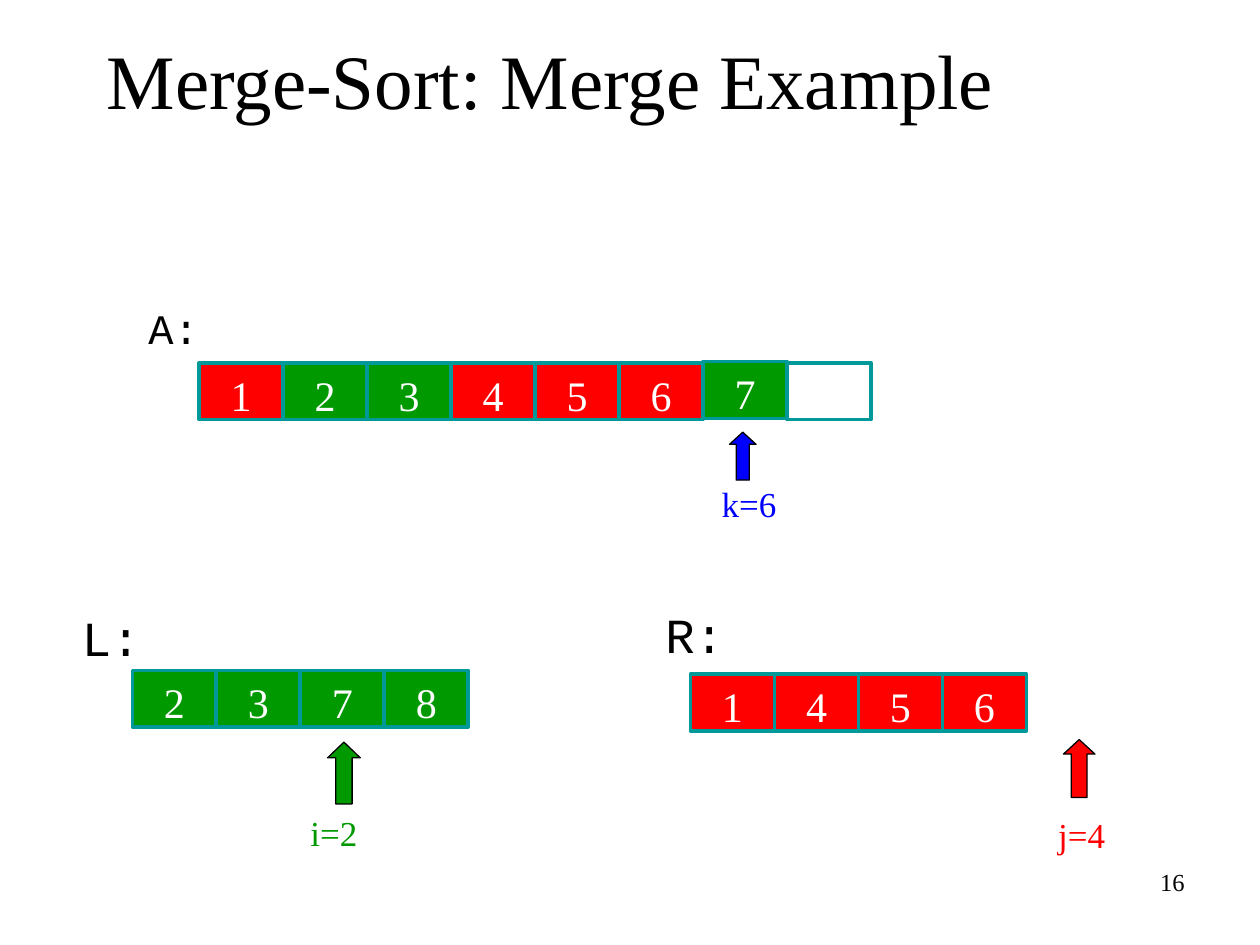
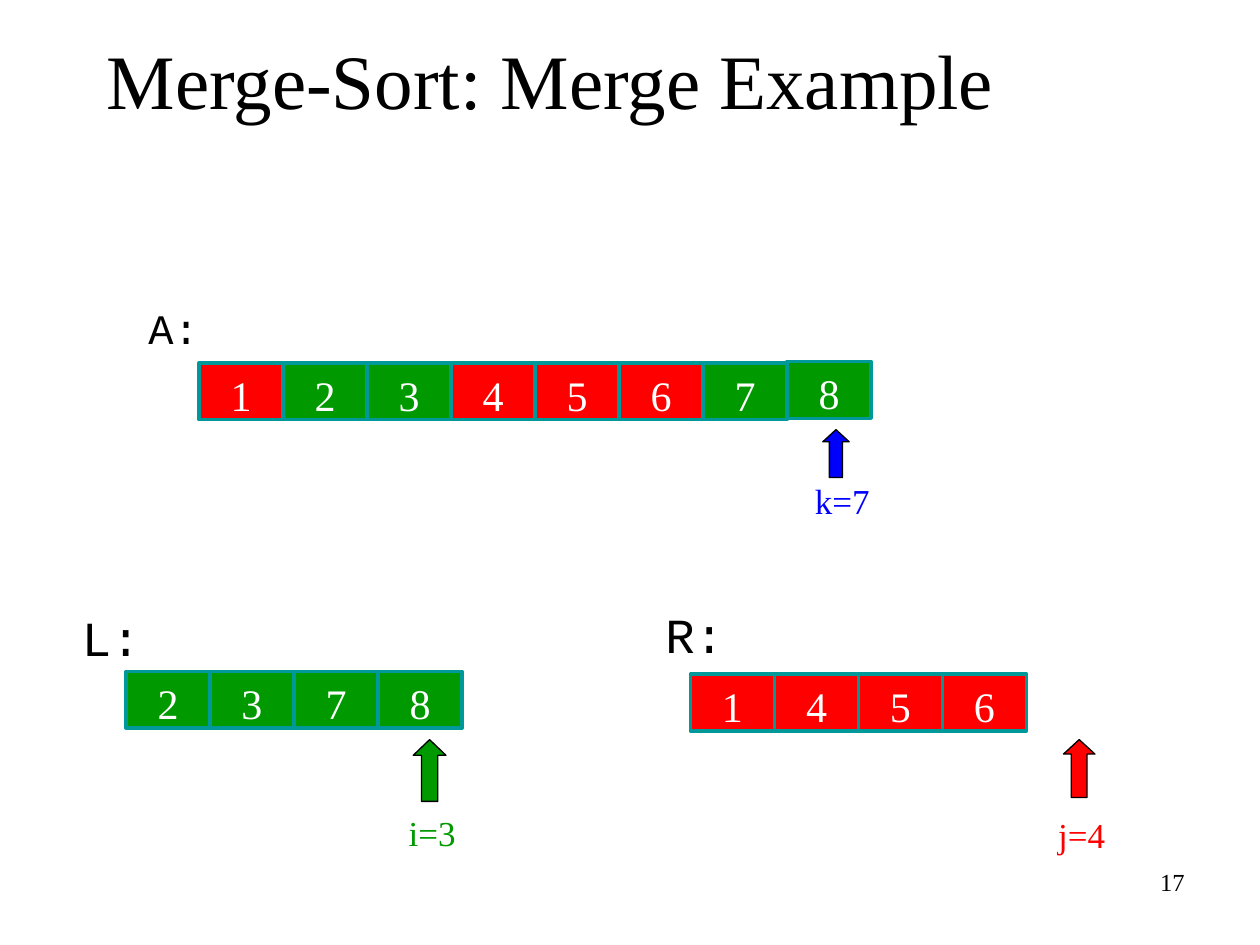
from dataclasses import dataclass

from pptx import Presentation
from pptx.dml.color import RGBColor
from pptx.enum.shapes import MSO_SHAPE
from pptx.enum.text import MSO_ANCHOR, MSO_AUTO_SIZE, PP_ALIGN
from pptx.util import Inches, Pt

RECTANGLE, UP_ARROW = MSO_SHAPE.RECTANGLE, MSO_SHAPE.UP_ARROW
TOP, MIDDLE = MSO_ANCHOR.TOP, MSO_ANCHOR.MIDDLE
LEFT, CENTER, RIGHT = PP_ALIGN.LEFT, PP_ALIGN.CENTER, PP_ALIGN.RIGHT
GROW = MSO_AUTO_SIZE.SHAPE_TO_FIT_TEXT


@dataclass(frozen=True)
class Theme:
    black: str = "000000"
    white: str = "FFFFFF"
    left_half: str = "009900"
    right_half: str = "FF0000"
    merged: str = "0000FF"
    cell_edge: str = "009999"
    serif: str = "Times New Roman"
    mono: str = "Courier New"
    title: float = 44
    half_name: float = 28
    cell: float = 24
    index: float = 20
    page: float = 14


THEME = Theme()
CELL_WIDTH, CELL_HEIGHT = 2 / 3, 0.45
LATEST_RISE = 0.01
LEFT_VALUES = "2378"
RIGHT_VALUES = "1456"
MERGED_VALUES = "12345678"


def write(frame, text, size, color=THEME.black, font=THEME.serif, align=LEFT,
          anchor=TOP, side=0.1, bottom=0.05, before=0, grow=False):
    frame.word_wrap = True
    frame.vertical_anchor = anchor
    frame.margin_left = frame.margin_right = Inches(side)
    frame.margin_top, frame.margin_bottom = Inches(0.05), Inches(bottom)
    if grow:
        frame.auto_size = GROW
    paragraph = frame.paragraphs[0]
    paragraph.alignment = align
    paragraph.space_before = Pt(before)
    run = paragraph.add_run()
    run.text = text
    run.font.size, run.font.name = Pt(size), font
    run.font.color.rgb = RGBColor.from_string(color)


def add_text(slide, box, text, size, **style):
    holder = slide.shapes.add_textbox(*map(Inches, box))
    write(holder.text_frame, text, size, **style)


def add_outlined(slide, preset, box, fill, edge, weight):
    outlined = slide.shapes.add_shape(preset, *map(Inches, box))
    outlined.shadow.inherit = False
    outlined.fill.solid()
    outlined.fill.fore_color.rgb = RGBColor.from_string(fill)
    outlined.line.color.rgb = RGBColor.from_string(edge)
    outlined.line.width = Pt(weight)
    return outlined


def add_cell(slide, left, top, value, fill):
    cell = add_outlined(slide, RECTANGLE, (left, top, CELL_WIDTH, CELL_HEIGHT),
                        fill, THEME.cell_edge, 2)
    if value:
        write(cell.text_frame, value, THEME.cell, color=THEME.white,
              align=CENTER, bottom=0, before=15, grow=True)


def add_half(slide, left, top, values, fill):
    for position, value in enumerate(values):
        add_cell(slide, left + position * CELL_WIDTH, top, value, fill)


def add_merged(slide, left, top, latest):
    empty_positions = range(latest + 1, len(MERGED_VALUES))
    for position in [*range(latest), *empty_positions, latest]:
        value = MERGED_VALUES[position]
        fill = THEME.left_half if value in LEFT_VALUES else THEME.right_half
        if position > latest:
            value, fill = "", THEME.white
        rise = LATEST_RISE if position == latest else 0
        add_cell(slide, left + position * CELL_WIDTH, top - rise, value, fill)


def add_index(slide, arrow_box, head, label_box, label, color, side=0.1):
    add_text(slide, label_box, label, THEME.index, color=color, align=CENTER,
             side=side, before=12.5, grow=True)
    arrow = add_outlined(slide, UP_ARROW, arrow_box, color, THEME.black, 0.75)
    arrow.adjustments[0], arrow.adjustments[1] = 0.5, head


def add_frame(slide, page):
    add_text(slide, (7.17, 6.83, 2.33, 0.52), str(page), THEME.page, align=RIGHT)
    add_text(slide, (0.75, 0, 8.5, 1.25), "Merge-Sort: Merge Example",
             THEME.title, anchor=MIDDLE)


def add_array_names(slide):
    add_text(slide, (1.08, 2.35, 0.69, 0.5), "A:", THEME.cell,
             font=THEME.mono, before=15, grow=True)
    for name, left, top in (("L:", 0.65, 4.77), ("R:", 5.28, 4.75)):
        add_text(slide, (left, top, 0.48, 0.57), name, THEME.half_name,
                 font=THEME.mono, side=0, before=17.5, grow=True)


def build_step(deck, page, k, k_at, i, i_at, i_label_left, left_half_at):
    slide = deck.slides.add_slide(deck.slide_layouts[6])
    add_frame(slide, page)
    add_array_names(slide)
    add_merged(slide, 1.58, 2.88, k)
    add_half(slide, *left_half_at, LEFT_VALUES, THEME.left_half)
    add_half(slide, 5.48, 5.35, RIGHT_VALUES, THEME.right_half)
    k_left, k_top = k_at
    add_index(slide, (k_left, k_top, 0.21, 0.38), 0.46,
              (k_left - 0.25, k_top + 0.35, 0.81, 0.44), f"k={k}", THEME.merged)
    add_index(slide, (*i_at, 0.26, 0.49), 0.48,
              (i_label_left, 6.39, 0.48, 0.44), f"i={i}", THEME.left_half, side=0)
    add_index(slide, (8.44, 5.87, 0.25, 0.46), 0.46,
              (8.21, 6.41, 0.75, 0.44), "j=4", THEME.right_half)


def main():
    deck = Presentation()
    deck.slide_width, deck.slide_height = Inches(10), Inches(7.5)
    build_step(deck, 16, k=6, k_at=(5.79, 3.43), i=2, i_at=(2.6, 5.89),
               i_label_left=2.41, left_half_at=(1.05, 5.32))
    build_step(deck, 17, k=7, k_at=(6.53, 3.41), i=3, i_at=(3.28, 5.87),
               i_label_left=3.19, left_half_at=(1, 5.33))
    deck.save("out.pptx")


if __name__ == "__main__":
    main()
